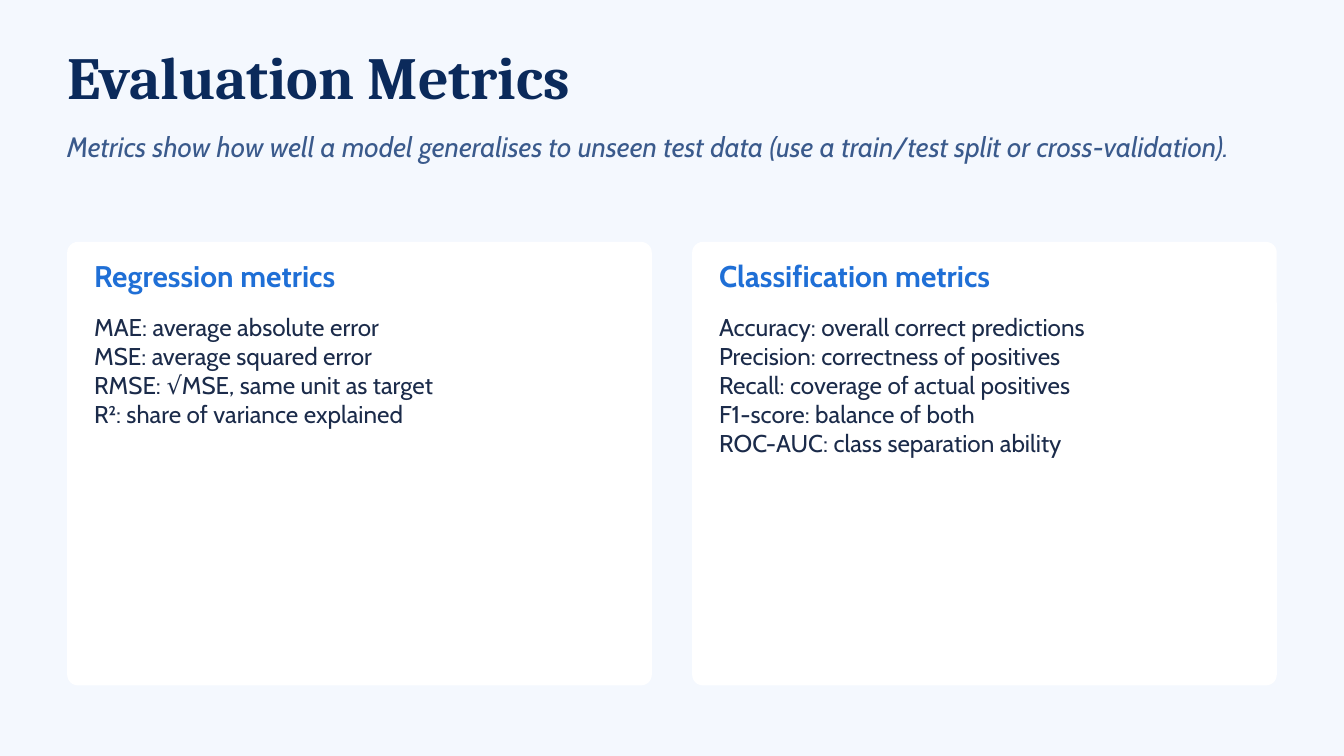
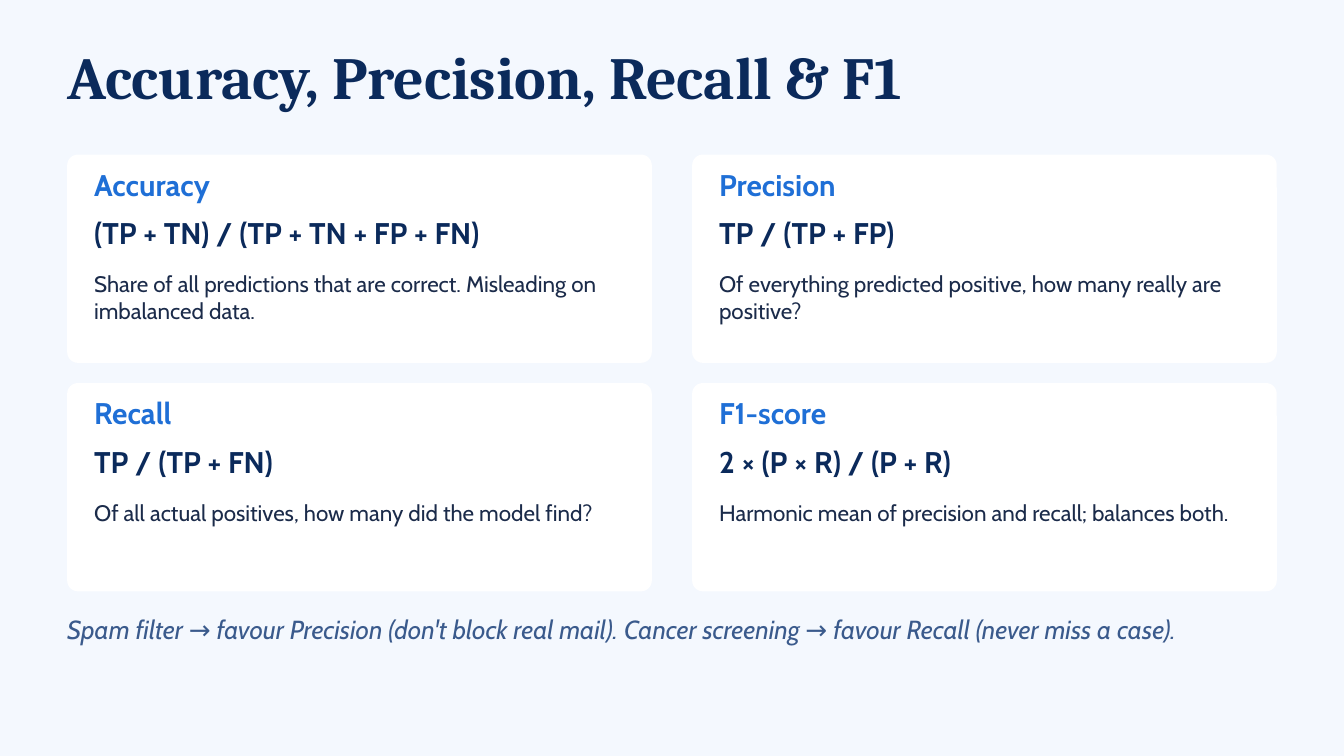
from dataclasses import dataclass

from pptx import Presentation
from pptx.dml.color import RGBColor
from pptx.enum.shapes import MSO_SHAPE
from pptx.enum.text import MSO_ANCHOR, MSO_AUTO_SIZE, PP_ALIGN
from pptx.util import Pt


@dataclass(frozen=True)
class Style:
    """Font, size, colour and weight of one kind of text."""
    font: str
    size: int
    color: str
    bold: bool = False
    italic: bool = False


class Theme:
    """Colours and type styles that both slides share."""
    back, card = "F4F8FE", "FFFFFF"
    navy, blue, slate, ink = "0B2A5B", "1F6FD6", "3A5A8C", "1B2B4A"
    title = Style("Cambria", 64, navy, bold=True)
    lead = Style("Cabin", 30, slate, italic=True)
    note = Style("Cabin", 28, slate, italic=True)
    head = Style("Cabin", 32, blue, bold=True)
    formula = Style("Cabin", 32, navy, bold=True)
    item = Style("Cabin", 26, ink)
    body = Style("Cabin", 24, ink)


SLIDES = [
    {
        "title": "Evaluation Metrics",
        "line": (138.96, Theme.lead, "Metrics show how well a model generalises to unseen "
                 "test data (use a train/test split or cross-validation)."),
        "top": 259.2,
        "height": 475.2,
        "slots": [(17.28, 54.72, Theme.head), (74.88, 385.92, Theme.item)],
        "cards": [
            (["Regression metrics"],
             ["MAE: average absolute error",
              "MSE: average squared error",
              "RMSE: √MSE, same unit as target",
              "R²: share of variance explained"]),
            (["Classification metrics"],
             ["Accuracy: overall correct predictions",
              "Precision: correctness of positives",
              "Recall: coverage of actual positives",
              "F1-score: balance of both",
              "ROC-AUC: class separation ability"]),
        ],
    },
    {
        "title": "Accuracy, Precision, Recall & F1",
        "line": (657.36, Theme.note, "Spam filter → favour Precision (don't block real mail). "
                 "Cancer screening → favour Recall (never miss a case)."),
        "top": 165.6,
        "height": 223.2,
        "slots": [(12.96, 47.52, Theme.head), (64.8, 54.72, Theme.formula),
                  (123.84, 89.28, Theme.body)],
        "cards": [
            (["Accuracy"], ["(TP + TN) / (TP + TN + FP + FN)"],
             ["Share of all predictions that are correct. Misleading on imbalanced data."]),
            (["Precision"], ["TP / (TP + FP)"],
             ["Of everything predicted positive, how many really are positive?"]),
            (["Recall"], ["TP / (TP + FN)"],
             ["Of all actual positives, how many did the model find?"]),
            (["F1-score"], ["2 × (P × R) / (P + R)"],
             ["Harmonic mean of precision and recall; balances both."]),
        ],
    },
]

WIDE, HIGH = 1440, 810
LEFT, COLS, GAP, ROW_GAP = 72, 2, 43.2, 21.6
SPAN = WIDE - 2 * LEFT
CARD = (SPAN - GAP * (COLS - 1)) / COLS
PAD, ROUND = 28.8, 11.52
TITLE_BOX = (LEFT, 42.48, SPAN, 87.12)
LINE_HIGH = 91.44


def write(frame, lines, style):
    """Fill a text frame with one styled paragraph per line."""
    frame.margin_left = frame.margin_right = frame.margin_top = frame.margin_bottom = 0
    frame.word_wrap = True
    frame.auto_size = MSO_AUTO_SIZE.NONE
    frame.vertical_anchor = MSO_ANCHOR.TOP
    for i, line in enumerate(lines):
        para = frame.add_paragraph() if i else frame.paragraphs[0]
        para.alignment = PP_ALIGN.LEFT
        para.line_spacing = Pt(style.size * 1.2)
        para.space_before = Pt(0)
        run = para.add_run()
        run.text = line
        font = run.font
        font.name, font.size = style.font, Pt(style.size)
        font.bold, font.italic = style.bold, style.italic
        font.color.rgb = RGBColor.from_string(style.color)


def add_text(shapes, box, lines, style):
    """Add a text box at a place given in points."""
    write(shapes.add_textbox(*map(Pt, box)).text_frame, lines, style)


def add_card(slide, left, top, high, slots, texts):
    """Add a grouped white card with one text box per slot."""
    shapes = slide.shapes.add_group_shape().shapes
    panel = shapes.add_shape(MSO_SHAPE.ROUNDED_RECTANGLE,
                             *map(Pt, (left, top, CARD, high)))
    panel.adjustments[0] = ROUND / min(CARD, high)
    panel.shadow.inherit = False
    panel.fill.solid()
    panel.fill.fore_color.rgb = RGBColor.from_string(Theme.card)
    panel.line.fill.background()
    for (drop, tall, style), lines in zip(slots, texts):
        box = (left + PAD, top + drop, CARD - 2 * PAD, tall)
        add_text(shapes, box, lines, style)


def add_slide(deck, data):
    """Add one slide with its title, line of text and grid of cards."""
    slide = deck.slides.add_slide(deck.slide_layouts[5])
    title = slide.shapes.title
    title.left, title.top, title.width, title.height = map(Pt, TITLE_BOX)
    write(title.text_frame, [data["title"]], Theme.title)
    top, style, text = data["line"]
    add_text(slide.shapes, (LEFT, top, SPAN, LINE_HIGH), [text], style)
    for i, texts in enumerate(data["cards"]):
        row, col = divmod(i, COLS)
        add_card(slide, LEFT + col * (CARD + GAP),
                 data["top"] + row * (data["height"] + ROW_GAP),
                 data["height"], data["slots"], texts)


def main():
    """Build and save the deck."""
    deck = Presentation()
    deck.slide_width, deck.slide_height = Pt(WIDE), Pt(HIGH)
    fill = deck.slide_master.background.fill
    fill.solid()
    fill.fore_color.rgb = RGBColor.from_string(Theme.back)
    for data in SLIDES:
        add_slide(deck, data)
    deck.save("out.pptx")


if __name__ == "__main__":
    main()
